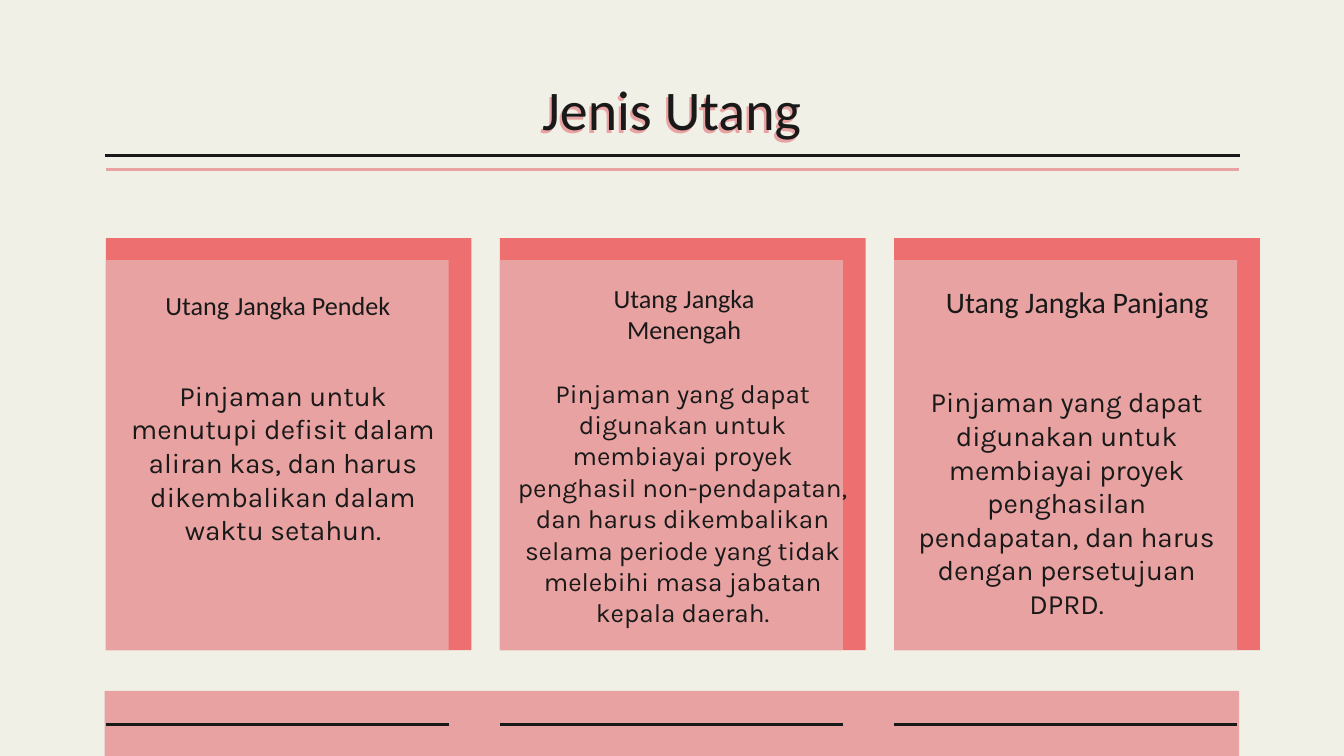
from lxml import etree
from pptx import Presentation
from pptx.dml.color import RGBColor
from pptx.enum.shapes import MSO_CONNECTOR, MSO_SHAPE
from pptx.enum.text import MSO_ANCHOR, MSO_AUTO_SIZE, PP_ALIGN
from pptx.oxml.ns import qn
from pptx.util import Cm, Pt

RECT = MSO_SHAPE.RECTANGLE
LINE = MSO_CONNECTOR.STRAIGHT
TOP, MIDDLE = MSO_ANCHOR.TOP, MSO_ANCHOR.MIDDLE
CENTER = PP_ALIGN.CENTER
NO_FIT = MSO_AUTO_SIZE.NONE

CREAM, INK, ROSE, CORAL = "F0F0E6", "191919", "E9A2A2", "EE6F6F"


def color(code):
    return RGBColor.from_string(code)


class Deck:
    """Holds the style and the current slide."""

    head_font = "Calibri"
    body_font = "Karla"
    inset = Cm(0.25)

    def __init__(self, width, height):
        self.file = Presentation()
        self.file.slide_width, self.file.slide_height = Cm(width), Cm(height)
        self.slide = self.file.slides.add_slide(self.file.slide_layouts[5])
        fill = self.slide.background.fill
        fill.solid()
        fill.fore_color.rgb = color(CREAM)

    def block(self, x, y, w, h, fill):
        shape = self.slide.shapes.add_shape(RECT, Cm(x), Cm(y), Cm(w), Cm(h))
        shape.shadow.inherit = False
        shape.fill.solid()
        shape.fill.fore_color.rgb = color(fill)
        shape.line.fill.background()

    def rule(self, x, y, w, ink=INK):
        line = self.slide.shapes.add_connector(
            LINE, Cm(x), Cm(y), Cm(x + w), Cm(y))
        line.line.color.rgb = color(ink)
        line.line.width = Pt(1.5)
        etree.SubElement(line._element.spPr, qn("a:effectLst"))

    def letter(self, shape, words, size, font, anchor):
        frame = shape.text_frame
        frame.text = words
        frame.word_wrap = True
        frame.auto_size = NO_FIT
        frame.vertical_anchor = anchor
        frame.margin_left = frame.margin_right = self.inset
        frame.margin_top = frame.margin_bottom = self.inset
        para = frame.paragraphs[0]
        para.alignment = CENTER
        para.font.size = Pt(size)
        para.font.name = font
        para.font.color.rgb = color(INK)

    def text(self, x, y, w, h, words, size, font, anchor):
        box = self.slide.shapes.add_textbox(Cm(x), Cm(y), Cm(w), Cm(h))
        self.letter(box, words, size, font, anchor)

    def title(self, x, y, w, h, words):
        shape = self.slide.shapes.title
        shape.left, shape.top = Cm(x), Cm(y)
        shape.width, shape.height = Cm(w), Cm(h)
        self.letter(shape, words, 30, self.head_font, MIDDLE)
        # Rose shadow behind the letters
        effects = etree.SubElement(shape._element.spPr, qn("a:effectLst"))
        shadow = etree.SubElement(
            effects, qn("a:outerShdw"), dist="28575", dir="7380000",
            algn="bl", rotWithShape="0")
        etree.SubElement(shadow, qn("a:srgbClr"), val=ROSE)

    def save(self):
        self.file.save("out.pptx")


# Each card: heading box and size, heading; body box and size, body
CARDS = [
    ((2.79, 5.23, 4.93, 1.52), 14, "Utang Jangka Pendek",
     (2.11, 7.57, 6.48, 2.34), 15,
     "Pinjaman untuk menutupi defisit dalam aliran kas, dan harus "
     "dikembalikan dalam waktu setahun."),
    ((10.49, 5.08, 4.88, 0.74), 14, "Utang Jangka Menengah",
     (9.45, 8.33, 6.91, 2.34), 14,
     "Pinjaman yang dapat digunakan untuk membiayai proyek penghasil "
     "non-pendapatan, dan harus dikembalikan selama periode yang tidak "
     "melebihi masa jabatan kepala daerah."),
    ((17.12, 5.11, 6.48, 1.17), 16, "Utang Jangka Panjang",
     (16.92, 8.33, 6.48, 2.34), 15,
     "Pinjaman yang dapat digunakan untuk membiayai proyek penghasilan "
     "pendapatan, dan harus dengan persetujuan DPRD."),
]
LEFT, STEP, WIDE = 2, 7.45, 6.48


def main():
    deck = Deck(25.4, 14.29)

    # Footer band
    deck.block(1.98, 13.06, 21.44, 1.23, ROSE)

    # Title and its rules
    deck.title(2, 1.24, 21.39, 1.6, "Jenis Utang")
    deck.rule(1.98, 2.94, 21.46)
    deck.rule(2.01, 3.2, 21.4, ROSE)

    # Cards, each with a footer rule
    for i, (head_box, head_size, head, body_box, body_size, body) in enumerate(CARDS):
        x = LEFT + i * STEP
        deck.rule(x, 13.69, WIDE)
        deck.block(x, 4.5, 6.91, 7.79, CORAL)
        deck.block(x, 4.92, WIDE, 7.37, ROSE)
        deck.text(*head_box, head, head_size, deck.head_font, TOP)
        deck.text(*body_box, body, body_size, deck.body_font, MIDDLE)

    deck.save()


if __name__ == "__main__":
    main()
